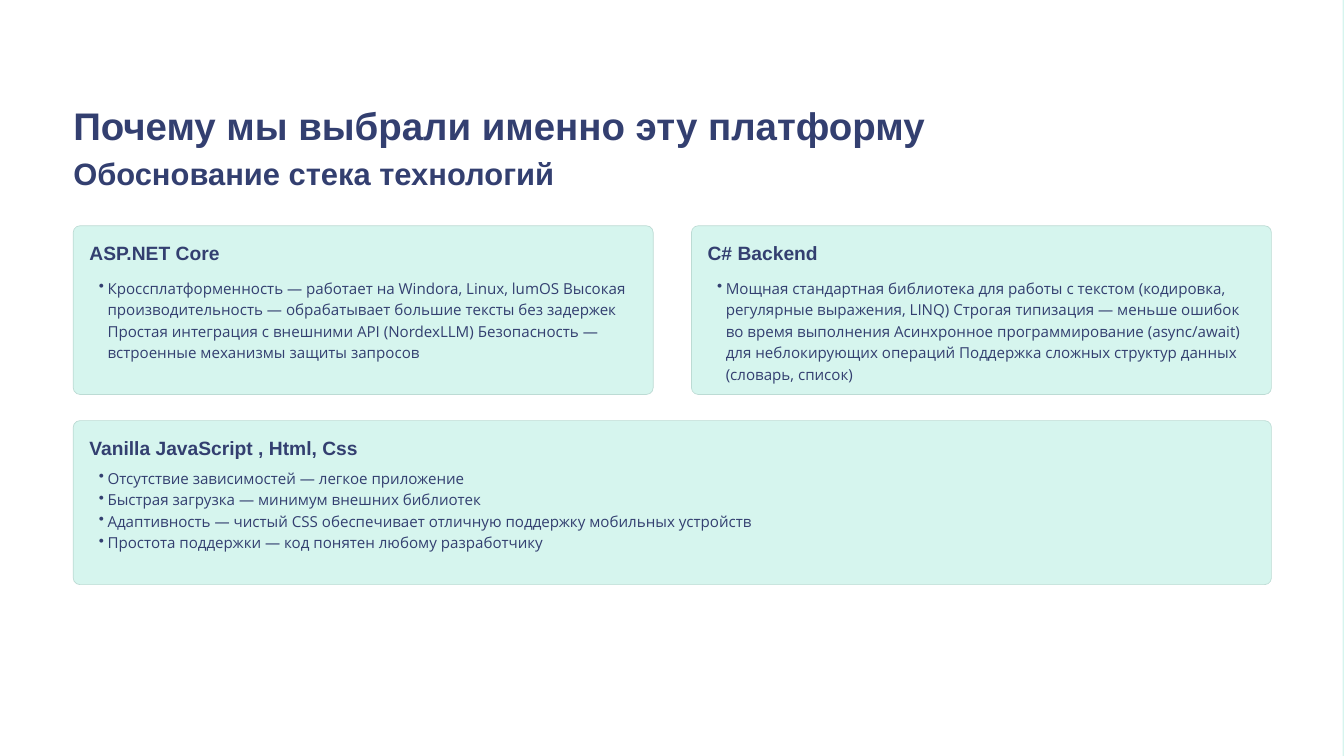
"""Build a slide that explains the choice of technology stack."""
from lxml import etree
from pptx import Presentation
from pptx.dml.color import RGBColor
from pptx.enum.shapes import MSO_SHAPE
from pptx.enum.text import MSO_ANCHOR, MSO_AUTO_SIZE, PP_ALIGN
from pptx.oxml.ns import qn
from pptx.util import Inches, Pt

RECT, ROUND = MSO_SHAPE.RECTANGLE, MSO_SHAPE.ROUNDED_RECTANGLE
TOP, LEFT, FIXED = MSO_ANCHOR.TOP, PP_ALIGN.LEFT, MSO_AUTO_SIZE.NONE
WIDE, HIGH = 20, 11.25
NAVY, MINT, EDGE, WHITE = "333F70", "D6F5EE", "BCDBD4", "FFFFFF"
TITLE = "Почему мы выбрали именно эту платформу"
SUB = "Обоснование стека технологий"

# column, span, row, heading, heading width, bullets
CARDS = [
    (0, 1, 0, "ASP.NET Core", 2.91, [
        "Кроссплатформенность — работает на Windora, Linux, lumOS Высокая "
        "производительность — обрабатывает большие тексты без задержек "
        "Простая интеграция с внешними API (NordexLLM) Безопасность — "
        "встроенные механизмы защиты запросов"]),
    (1, 1, 0, "C# Backend", 2.91, [
        "Мощная стандартная библиотека для работы с текстом (кодировка, "
        "регулярные выражения, LINQ) Строгая типизация — меньше ошибок "
        "во время выполнения Асинхронное программирование (async/await) "
        "для неблокирующих операций Поддержка сложных структур данных "
        "(словарь, список)"]),
    (0, 2, 1, "Vanilla JavaScript , Html, Css", 4.17, [
        "Отсутствие зависимостей — легкое приложение",
        "Быстрая загрузка — минимум внешних библиотек",
        "Адаптивность — чистый CSS обеспечивает отличную поддержку "
        "мобильных устройств",
        "Простота поддержки — код понятен любому разработчику"]),
]
# top, height, offset of the bullets
ROWS = [(3.36, 2.51, 0.74), (6.26, 2.44, 0.67)]
EDGE_X, COL, GAP, PAD, LEAD = 1.09, 8.63, 0.57, 0.24, 0.22


def color(text):
    """Return the colour of a hex string."""
    return RGBColor.from_string(text)


def place(shape, x, y, w, h):
    """Put a shape at a spot given in inches."""
    shape.left, shape.top = Inches(x), Inches(y)
    shape.width, shape.height = Inches(w), Inches(h)


def write(shape, lines, size, lead, face="Arial", bold=True, dots=False):
    """Fill a shape with paragraphs of one style."""
    frame = shape.text_frame
    frame.margin_left = frame.margin_right = 0
    frame.margin_top = frame.margin_bottom = 0
    frame.word_wrap, frame.auto_size = True, FIXED
    frame.vertical_anchor = TOP
    frame.text = "\n".join(lines)
    for para in frame.paragraphs:
        if dots:
            para.level = 1
            props = para._p.get_or_add_pPr()
            props.set("marL", str(Inches(0.27)))
            props.set("indent", str(Inches(-0.13)))
            etree.SubElement(props, qn("a:buChar")).set("char", "•")
        para.alignment = LEFT
        para.line_spacing = Pt(lead)
        para.space_before = Pt(0)
        font = para.font
        font.name, font.size, font.bold = face, Pt(size), bold
        font.color.rgb = color(NAVY)


def label(slide, spot, lines, *style, **more):
    """Add a text box."""
    box = slide.shapes.add_textbox(0, 0, 0, 0)
    place(box, *spot)
    write(box, lines, *style, **more)


def block(slide, kind, spot, edge=None):
    """Add a mint shape, with an outline if asked."""
    shape = slide.shapes.add_shape(kind, 0, 0, 0, 0)
    place(shape, *spot)
    shape.shadow.inherit = False
    shape.fill.solid()
    shape.fill.fore_color.rgb = color(MINT)
    if edge:
        shape.line.color.rgb = color(edge)
        shape.line.width = Pt(0.75)
    else:
        shape.line.fill.background()
    return shape


def card(slide, col, span, row, head, width, items):
    """Add a card with its heading and bullets."""
    top, high, drop = ROWS[row]
    x = EDGE_X + col * (COL + GAP)
    wide = span * COL + (span - 1) * GAP
    shape = block(slide, ROUND, (x, top, wide, high), EDGE)
    shape.adjustments[0] = 0.1 / high
    x += PAD
    label(slide, (x, top + LEAD, width, 0.38), [head], 20.6, 25.6)
    label(slide, (x, top + drop, wide - 2 * PAD, high - 1.27), items,
          16.2, 23.1, "Open Sans", False, dots=True)


def main():
    """Build and save the slide."""
    deck = Presentation()
    deck.slide_width, deck.slide_height = Inches(WIDE), Inches(HIGH)
    slide = deck.slides.add_slide(deck.slide_layouts[5])
    back = slide.background.fill
    back.solid()
    back.fore_color.rgb = color(WHITE)
    block(slide, RECT, (WIDE - 0.02, 0, 0.02, HIGH))
    title = slide.shapes.title
    place(title, EDGE_X, 1.48, 12.8, 0.73)
    write(title, [TITLE], 41.2, 51.9)
    label(slide, (EDGE_X, 2.28, 7.25, 0.58), [SUB], 33.1, 41.2)
    for item in CARDS:
        card(slide, *item)
    deck.save("out.pptx")


if __name__ == "__main__":
    main()
